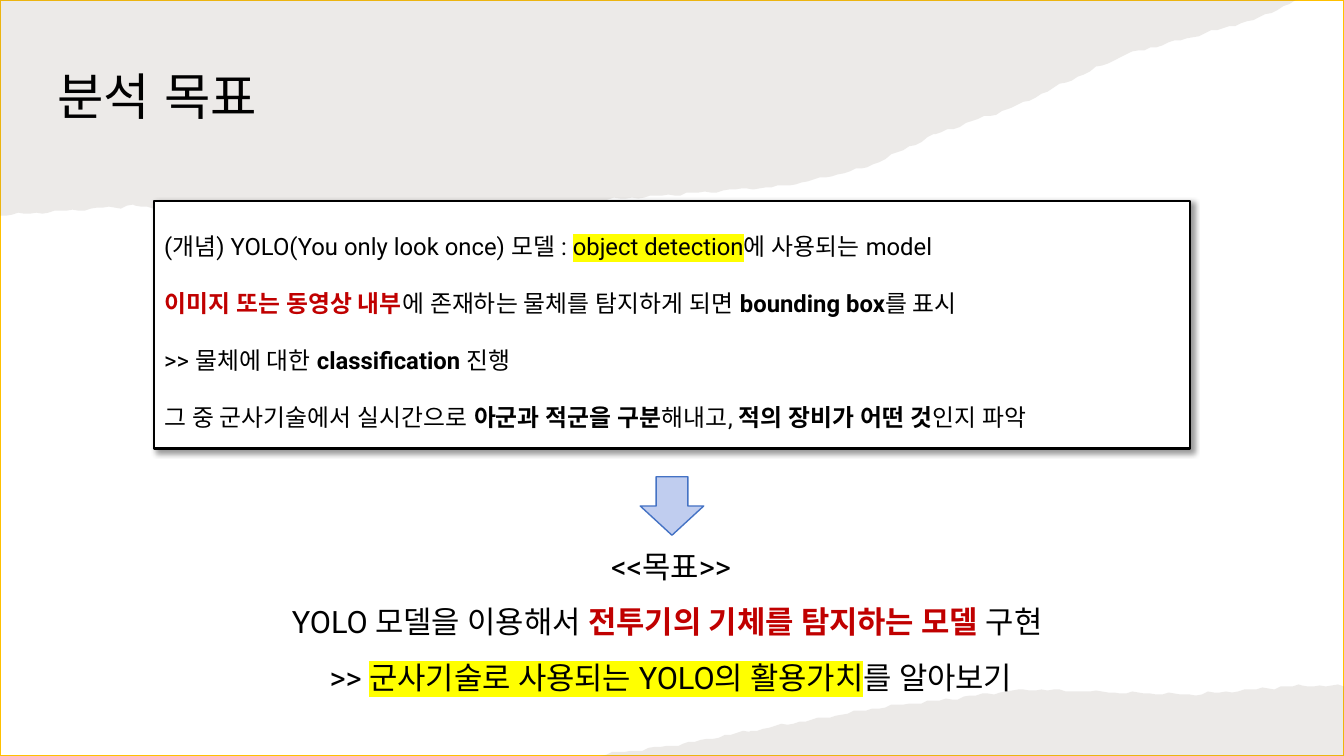
from itertools import pairwise
from math import sin

from lxml.etree import SubElement
from pptx import Presentation
from pptx.dml.color import RGBColor
from pptx.enum.shapes import MSO_SHAPE as Preset
from pptx.enum.text import MSO_ANCHOR as Anchor, MSO_AUTO_SIZE as AutoSize, PP_ALIGN as Align
from pptx.oxml import parse_xml
from pptx.oxml.ns import nsdecls, qn
from pptx.util import Pt

PX = 9144
WIDTH, HEIGHT = 1333, 750
BLACK, WHITE, RED, YELLOW = "000000", "FFFFFF", "C00000", "FFFF00"
GOLD, TAUPE, PALE_BLUE, BLUE = "FFC000", "82766A", "C0CDEF", "4472C4"
color = RGBColor.from_string


def add_span(para, text, size=17, font="Roboto", ink=BLACK, bold=False, highlight=None):
    span = para.add_run()
    span.text = text
    span.font.size = Pt(size)
    span.font.bold = bold
    span.font.color.rgb = color(ink)
    span.font.name = font
    latin = span.font._element.find(qn("a:latin"))
    latin.addnext(parse_xml(f'<a:ea {nsdecls("a")} typeface="{font}"/>'))
    if highlight:
        latin.addprevious(parse_xml(
            f'<a:highlight {nsdecls("a")}><a:srgbClr val="{highlight}"/></a:highlight>'))


def add_box(preset, left, top, width, height, fill, line, weight):
    box = page.shapes.add_shape(preset, left * PX, top * PX, width * PX, height * PX)
    box.shadow.inherit = False
    box.fill.solid()
    box.fill.fore_color.rgb = color(fill)
    box.line.color.rgb = color(line)
    box.line.width = Pt(weight)
    return box


deck = Presentation()
deck.slide_width, deck.slide_height = WIDTH * PX, HEIGHT * PX
page = deck.slides.add_slide(deck.slide_layouts[6])

add_box(Preset.RECTANGLE, 0, 0, WIDTH, HEIGHT, WHITE, GOLD, 1)

TEAR_STEP = 6
TEAR_DEPTH = 1.5
upper_bends = [(0, 214), (134, 204), (283, 225), (466, 214), (591, 199), (783, 184),
               (860, 166), (928, 133), (1003, 107), (1117, 54), (1243, 20), (1287, 0)]
lower_bends = [(589, 750), (677, 738), (745, 725), (866, 703), (1015, 684),
               (1180, 689), (1291, 680), (1333, 681)]
for corner, bends in (((0, 0), upper_bends), ((WIDTH, HEIGHT), lower_bends)):
    edge = [bends[0]]
    for (left, start), (right, end) in pairwise(bends):
        for x in range(left + TEAR_STEP, right, TEAR_STEP):
            slope = start + (end - start) * (x - left) / (right - left)
            ripple = TEAR_DEPTH * sin(x / 4) * sin(x / 11)
            edge.append((x, slope + ripple))
        edge.append((right, end))
    builder = page.shapes.build_freeform(*corner, scale=PX)
    builder.add_line_segments(edge, close=True)
    paper = builder.convert_to_shape()
    paper.shadow.inherit = False
    paper.fill.solid()
    paper.fill.fore_color.rgb = color(TAUPE)
    paper.line.fill.background()
    tint = paper._element.spPr.find(qn("a:solidFill"))[0]
    SubElement(tint, qn("a:alpha"), val="15000")

title = page.shapes.add_textbox(47 * PX, 44 * PX, 1027 * PX, 109 * PX)
title.text_frame.word_wrap = True
title.text_frame.vertical_anchor = Anchor.MIDDLE
title_para = title.text_frame.paragraphs[0]
title_para.line_spacing = 0.9
add_span(title_para, "분석 목표", size=36, font="Arial")

concept = add_box(Preset.RECTANGLE, 153, 199, 1027, 246, WHITE, BLACK, 1.5)
concept.text_frame.vertical_anchor = Anchor.MIDDLE
effects = concept._element.spPr.find(qn("a:effectLst"))
effects.append(parse_xml(
    f'<a:outerShdw {nsdecls("a")} blurRad="50800" dist="38100" dir="2700000" algn="tl" '
    f'rotWithShape="0"><a:srgbClr val="{BLACK}"><a:alpha val="40000"/></a:srgbClr></a:outerShdw>'))

add_box(Preset.DOWN_ARROW, 635, 473, 63, 58, PALE_BLUE, BLUE, 1)

goal = page.shapes.add_textbox(210 * PX, 520 * PX, 911 * PX, 174 * PX)
goal.text_frame.auto_size = AutoSize.SHAPE_TO_FIT_TEXT

plain = {}
strong = {"bold": True}
alert = {"bold": True, "ink": RED}
marked = {"highlight": YELLOW}

concept_lines = [
    [("(개념) YOLO(You only look once) 모델 : ", plain), ("object detection", marked),
     ("에 사용되는 model", plain)],
    [("이미지 또는 동영상 내부", alert), ("에 존재하는 물체를 탐지하게 되면 ", plain),
     ("bounding box", strong), ("를 표시", plain)],
    [(">> 물체에 대한 ", plain), ("classification", strong), (" 진행", plain)],
    [("그 중 군사기술에서 실시간으로 ", plain), ("아군과 적군을 구분", strong),
     ("해내고, ", plain), ("적의 장비가 어떤 것", strong), ("인지 파악", plain)],
]
goal_lines = [
    [("<<목표>>", plain)],
    [("YOLO 모델을 이용해서 ", plain), ("전투기의 기체를 탐지하는 모델", alert), (" 구현 ", plain)],
    [(" >> ", plain), ("군사기술로 사용되는 YOLO의 활용가치", marked), ("를 알아보기 ", plain)],
]
for box, lines, size, align, gap in (
    (concept, concept_lines, 17, Align.LEFT, 10),
    (goal, goal_lines, 22, Align.CENTER, 0),
):
    frame = box.text_frame
    frame.word_wrap = True
    for index, line in enumerate(lines):
        para = frame.add_paragraph() if index else frame.paragraphs[0]
        para.alignment = align
        para.line_spacing = 1.5
        para.space_before = Pt(gap)
        for text, style in line:
            add_span(para, text, size=size, **style)

deck.save("out.pptx")
